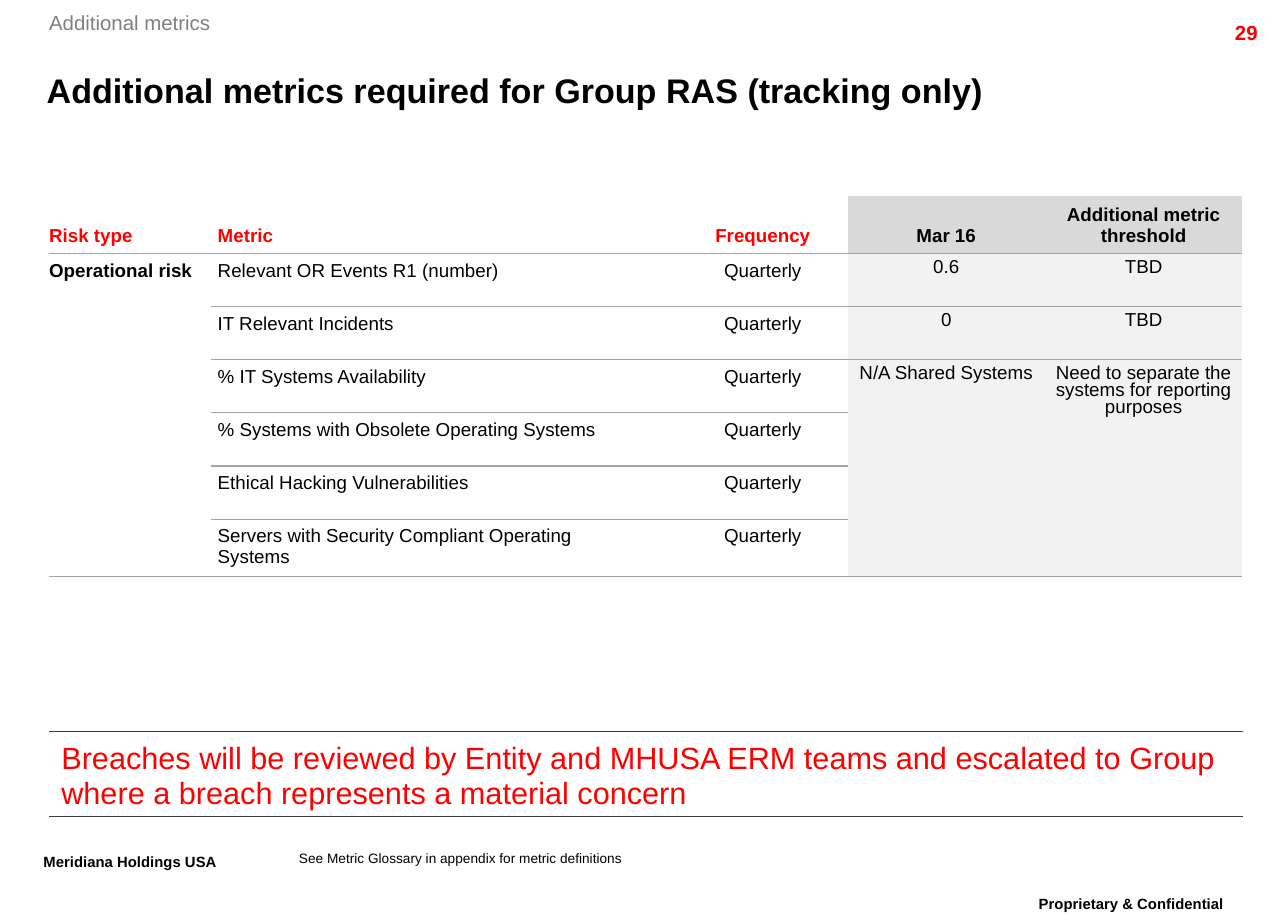
from pptx import Presentation
from pptx.dml.color import RGBColor
from pptx.enum.text import MSO_ANCHOR, MSO_AUTO_SIZE, PP_ALIGN
from pptx.oxml.ns import qn
from pptx.util import Pt
from lxml import etree

LEFT, MID, RIGHT = PP_ALIGN.LEFT, PP_ALIGN.CENTER, PP_ALIGN.RIGHT
TOP, CENTRE, BOTTOM = MSO_ANCHOR.TOP, MSO_ANCHOR.MIDDLE, MSO_ANCHOR.BOTTOM
NO_FIT = MSO_AUTO_SIZE.NONE
PLAIN = "{2D5ABB26-0587-4C30-8999-92F81FD0307C}"
HEX = {"black": "000000", "red": "FF0000", "grey": "808080",
       "head": "D9D9D9", "body": "F2F2F2", "rule": "A5A5A5", "dark": "3F3F3F"}

HEADS = ["Risk type", "Metric", "Frequency", "Mar 16", "Additional metric threshold"]
METRICS = ["Relevant OR Events R1 (number)", "IT Relevant Incidents",
           "% IT Systems Availability", "% Systems with Obsolete Operating Systems",
           "Ethical Hacking Vulnerabilities",
           "Servers with Security Compliant Operating\nSystems"]
RESULTS = [("0.6", "TBD"), ("0", "TBD"),
           ("N/A Shared Systems", "Need to separate the systems for reporting purposes")]
ALIGNS = [LEFT, LEFT, MID, MID, MID]
WIDTHS = [95, 274.3, 99.4, 115.9, 115.9]
HEIGHTS = [33.6] + [31.2] * 5 + [33.6]


def write(frame, text, size, color="black", bold=False, align=LEFT, gap=None):
    para = frame.paragraphs[0]
    para.alignment = align
    if gap:
        para.line_spacing = gap
    for i, line in enumerate(text.split("\n")):
        if i:
            para.add_line_break()
        run = para.add_run()
        run.text = line
        font = run.font
        font.name, font.size, font.bold = "Arial", Pt(size), bold
        font.color.rgb = RGBColor.from_string(HEX[color])


def inset(item, left, top, right, bottom):
    item.margin_left, item.margin_top = Pt(left), Pt(top)
    item.margin_right, item.margin_bottom = Pt(right), Pt(bottom)


def label(slide, box, text, size, **style):
    frame = slide.shapes.add_textbox(*map(Pt, box)).text_frame
    frame.word_wrap = True
    frame.auto_size = NO_FIT
    inset(frame, 0, 0, 0, 0)
    write(frame, text, size, **style)


def rule(cell, color, *sides):
    """Draw thin borders on the named sides, given in the order L, R, T, B."""
    props = cell._tc.get_or_add_tcPr()
    for i, side in enumerate(sides):
        line = etree.Element(qn("a:ln" + side), w=str(Pt(0.75)))
        fill = etree.SubElement(line, qn("a:solidFill"))
        etree.SubElement(fill, qn("a:srgbClr"), val=HEX[color])
        props.insert(i, line)


def shade(cell, color):
    if color:
        cell.fill.solid()
        cell.fill.fore_color.rgb = RGBColor.from_string(HEX[color])
    else:
        cell.fill.background()


def grid(slide, box, widths, heights):
    """Add an unstyled table with the given column widths and row heights."""
    frame = slide.shapes.add_table(len(heights), len(widths), *map(Pt, box))
    table = frame.table
    table._tbl.tblPr.find(qn("a:tableStyleId")).text = PLAIN
    table.first_row = table.horz_banding = False
    for col, width in zip(table.columns, widths):
        col.width = Pt(width)
    for row, height in zip(table.rows, heights):
        row.height = Pt(height)
    return table


def metrics(slide, box):
    table = grid(slide, box, WIDTHS, HEIGHTS)
    last = len(METRICS)
    for col, first in ((0, 1), (3, 3), (4, 3)):
        table.cell(first, col).merge(table.cell(last, col))
    rows = [HEADS]
    for i, name in enumerate(METRICS):
        ends = RESULTS[i] if i < len(RESULTS) else ("", "")
        rows.append(["" if i else "Operational risk", name, "Quarterly", *ends])
    for r, row in enumerate(rows):
        for c, text in enumerate(row):
            cell = table.cell(r, c)
            head, value = r == 0, c > 2
            inset(cell, 4 if c else 0, 4, 4, 4)
            cell.vertical_anchor = BOTTOM if head else TOP
            shade(cell, ("head" if head else "body") if value else None)
            if text:
                write(cell.text_frame, text, 11,
                      color="red" if head and not value else "black",
                      bold=head or c == 0, align=ALIGNS[c],
                      gap=Pt(10) if value and not head else None)
            inner = (c == 0 and 0 < r < last) or (value and 2 < r < last)
            if not inner or cell.is_merge_origin:
                rule(cell, "rule", "B")


def banner(slide, box):
    cell = grid(slide, box, [box[2]], [box[3]]).cell(0, 0)
    cell.vertical_anchor = BOTTOM
    inset(cell, 7.2, 3.6, 7.2, 3.6)
    shade(cell, None)
    write(cell.text_frame, "Breaches will be reviewed by Entity and MHUSA ERM teams and "
          "escalated to Group where a breach represents a material concern", 18, color="red")
    rule(cell, "dark", "T", "B")


def header(slide, box):
    x, y, w, h = box
    label(slide, (x + 1.4, y, 120, 14.4), "Additional metrics", 12, color="grey")
    label(slide, (x + w - 60, y + 5.7, 60, 14.4), "29", 12, color="red", bold=True, align=RIGHT)
    title = slide.shapes.title
    title.left, title.top, title.width, title.height = map(Pt, (x, y + 29.5, 682.6, h - 29.5))
    frame = title.text_frame
    frame.word_wrap = True
    frame.auto_size = NO_FIT
    frame.vertical_anchor = CENTRE
    inset(frame, 0, 0, 0, 0)
    write(frame, "Additional metrics required for Group RAS (tracking only)", 20, bold=True)


def footer(slide, box):
    x, y, w, h = box
    label(slide, (x, y + 1.7, 140, 12), "Meridiana Holdings USA", 8.7, bold=True)
    label(slide, (x + 150, y, 393.8, 10), "See Metric Glossary in appendix for metric definitions", 8)
    label(slide, (x + w - 140, y + h - 12, 140, 12), "Proprietary & Confidential", 8.7,
          bold=True, align=RIGHT)


def main():
    deck = Presentation()
    deck.slide_width, deck.slide_height = Pt(756), Pt(540)
    slide = deck.slides.add_slide(deck.slide_layouts[5])
    header(slide, (27.4, 6, 710.8, 64))
    metrics(slide, (28.8, 115.2, sum(WIDTHS), sum(HEIGHTS)))
    banner(slide, (28.8, 429.1, 700.5, 50.4))
    footer(slide, (25.5, 499, 692.7, 38))
    deck.save("out.pptx")


if __name__ == "__main__":
    main()
